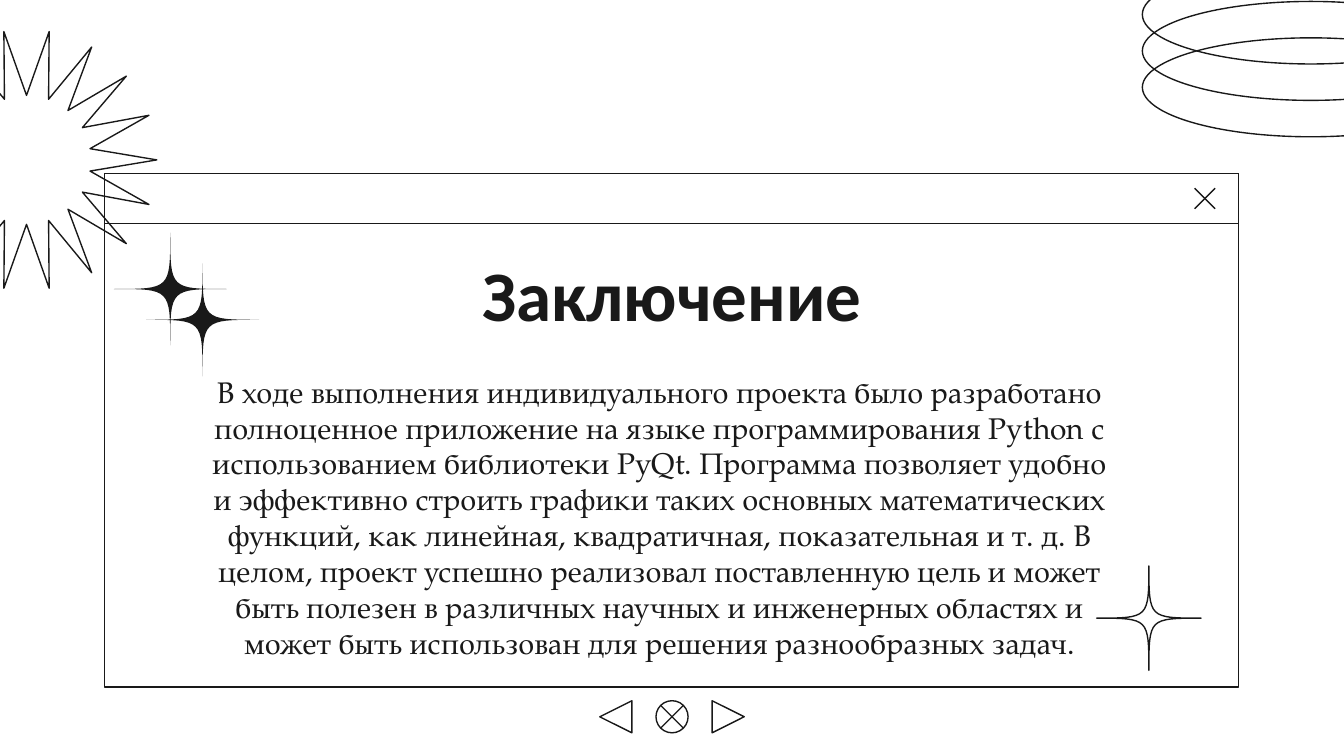
from collections import namedtuple
from dataclasses import dataclass
from math import cos, radians, sin

from lxml.etree import SubElement
from pptx import Presentation
from pptx.dml.color import RGBColor
from pptx.enum.shapes import MSO_CONNECTOR, MSO_SHAPE as SHAPE
from pptx.enum.text import MSO_ANCHOR as ANCHOR, PP_ALIGN as ALIGN
from pptx.oxml.ns import qn
from pptx.util import Pt


@dataclass(frozen=True)
class Theme:
    ink: RGBColor = RGBColor(0x19, 0x19, 0x19)
    paper: RGBColor = RGBColor(0xFF, 0xFF, 0xFF)
    line: float = 0.75
    title_font: str = "Calibri"
    title_size: int = 38
    body_font: str = "TeX Gyre Pagella"
    body_size: int = 16


THEME = Theme()
Box = namedtuple("Box", "x y w h")

TITLE = "Заключение"
BODY = (
    "В ходе выполнения индивидуального проекта было разработано полноценное "
    "приложение на языке программирования Python с использованием библиотеки "
    "PyQt. Программа позволяет удобно и эффективно строить графики таких "
    "основных математических функций, как линейная, квадратичная, "
    "показательная и т. д. В целом, проект успешно реализовал поставленную "
    "цель и может быть полезен в различных научных и инженерных областях и "
    "может быть использован для решения разнообразных задач."
)


def style(sp, filled=False):
    sp.shadow.inherit = False
    if filled:
        sp.fill.solid()
        sp.fill.fore_color.rgb = THEME.ink
        sp.line.fill.background()
    else:
        sp.fill.background()
        sp.line.color.rgb = THEME.ink
        sp.line.width = Pt(THEME.line)
    return sp


def add_outline(s, kind, box):
    return style(s.shapes.add_shape(kind, *map(Pt, box)))


def add_polygon(s, points, filled=False):
    points = [(Pt(x), Pt(y)) for x, y in points]
    builder = s.shapes.build_freeform(*points[0])
    builder.add_line_segments(points[1:], close=True)
    return style(builder.convert_to_shape(), filled)


def add_line(s, x1, y1, x2, y2):
    line = s.shapes.add_connector(MSO_CONNECTOR.STRAIGHT, Pt(x1), Pt(y1), Pt(x2), Pt(y2))
    line.line.color.rgb = THEME.ink
    line.line.width = Pt(THEME.line)
    SubElement(line._element.spPr, qn("a:effectLst"))


def add_sunburst(s, box, rays=18):
    cx, cy, outer = box.x + box.w / 2, box.y + box.h / 2, box.w / 2
    points = []
    for i in range(2 * rays):
        angle = radians(i * 180 / rays)
        radius = outer * 0.495 if i % 2 else outer
        points.append((cx + radius * cos(angle), cy + radius * sin(angle)))
    add_polygon(s, points)


def add_rings(s, box, count=3, step=19.5):
    height = box.h - (count - 1) * step
    for i in reversed(range(count)):
        add_outline(s, SHAPE.OVAL, Box(box.x, box.y + i * step, box.w, height))


def add_sparkle(s, box, filled=False, steps=16):
    cx, cy, radius = box.x + box.w / 2, box.y + box.h / 2, box.w / 2
    tips = [(0, 1), (-1, 0), (0, -1), (1, 0)]
    points = []
    for (ax, ay), (bx, by) in zip(tips, tips[1:] + tips[:1]):
        for i in range(steps):
            a, b = (1 - i / steps) ** 3, (i / steps) ** 3
            points.append((cx + radius * (a * ax + b * bx), cy + radius * (a * ay + b * by)))
    add_polygon(s, points, filled)


def add_sparkle_pair(s, box, size=60.5):
    add_sparkle(s, Box(box.x, box.y, size, size), filled=True)
    add_sparkle(s, Box(box.x + box.w - size, box.y + box.h - size, size, size), filled=True)


def add_window(s, box, bar=26.7):
    add_outline(s, SHAPE.RECTANGLE, box)
    add_outline(s, SHAPE.RECTANGLE, Box(box.x, box.y, box.w, bar))
    size = 11
    left, top = box.x + box.w - 23.5, box.y + (bar - size) / 2
    add_line(s, left, top, left + size, top + size)
    add_line(s, left, top + size, left + size, top)


def add_text(sp, box, text, font, size, bold, inset):
    sp.left, sp.top, sp.width, sp.height = map(Pt, box)
    tf = sp.text_frame
    tf.word_wrap = True
    tf.vertical_anchor = ANCHOR.MIDDLE
    tf.margin_left = tf.margin_right = Pt(7.2)
    tf.margin_top = tf.margin_bottom = Pt(inset)
    p = tf.paragraphs[0]
    p.alignment = ALIGN.CENTER
    r = p.add_run()
    r.text = text
    r.font.name = font
    r.font.size = Pt(size)
    r.font.bold = bold
    r.font.color.rgb = THEME.ink


def add_title(s, box):
    add_text(s.shapes.title, box, TITLE, THEME.title_font, THEME.title_size, True, 7.2)


def add_body(s, box):
    sp = s.shapes.add_textbox(*map(Pt, box))
    add_text(sp, box, BODY, THEME.body_font, THEME.body_size, False, 0)


def add_navigation(s, box):
    size = box.h
    step = (box.w - size) / 2
    buttons = [
        (SHAPE.ISOSCELES_TRIANGLE, 270),
        (SHAPE.FLOWCHART_SUMMING_JUNCTION, 0),
        (SHAPE.ISOSCELES_TRIANGLE, 90),
    ]
    for i, (kind, rotation) in enumerate(buttons):
        sp = add_outline(s, kind, Box(box.x + i * step, box.y, size, size))
        sp.rotation = rotation


def build_slide(prs):
    s = prs.slides.add_slide(prs.slide_layouts[5])
    s.background.fill.solid()
    s.background.fill.fore_color.rgb = THEME.paper
    add_sunburst(s, Box(-55.6, 15.9, 139.6, 139.6))
    add_rings(s, Box(612, -18.7, 180.5, 92))
    add_window(s, Box(56, 93, 607.5, 275))
    add_body(s, Box(104.4, 190.1, 498.2, 173.5))
    add_title(s, Box(180.7, 136.1, 358.6, 41.8))
    add_sparkle(s, Box(587.5, 303.2, 56, 56))
    add_sparkle_pair(s, Box(61, 124.6, 77.8, 77))
    add_navigation(s, Box(321.3, 375.4, 77.4, 17.2))


def main():
    prs = Presentation()
    prs.slide_width, prs.slide_height = Pt(720), Pt(405)
    build_slide(prs)
    prs.save("out.pptx")


if __name__ == "__main__":
    main()
